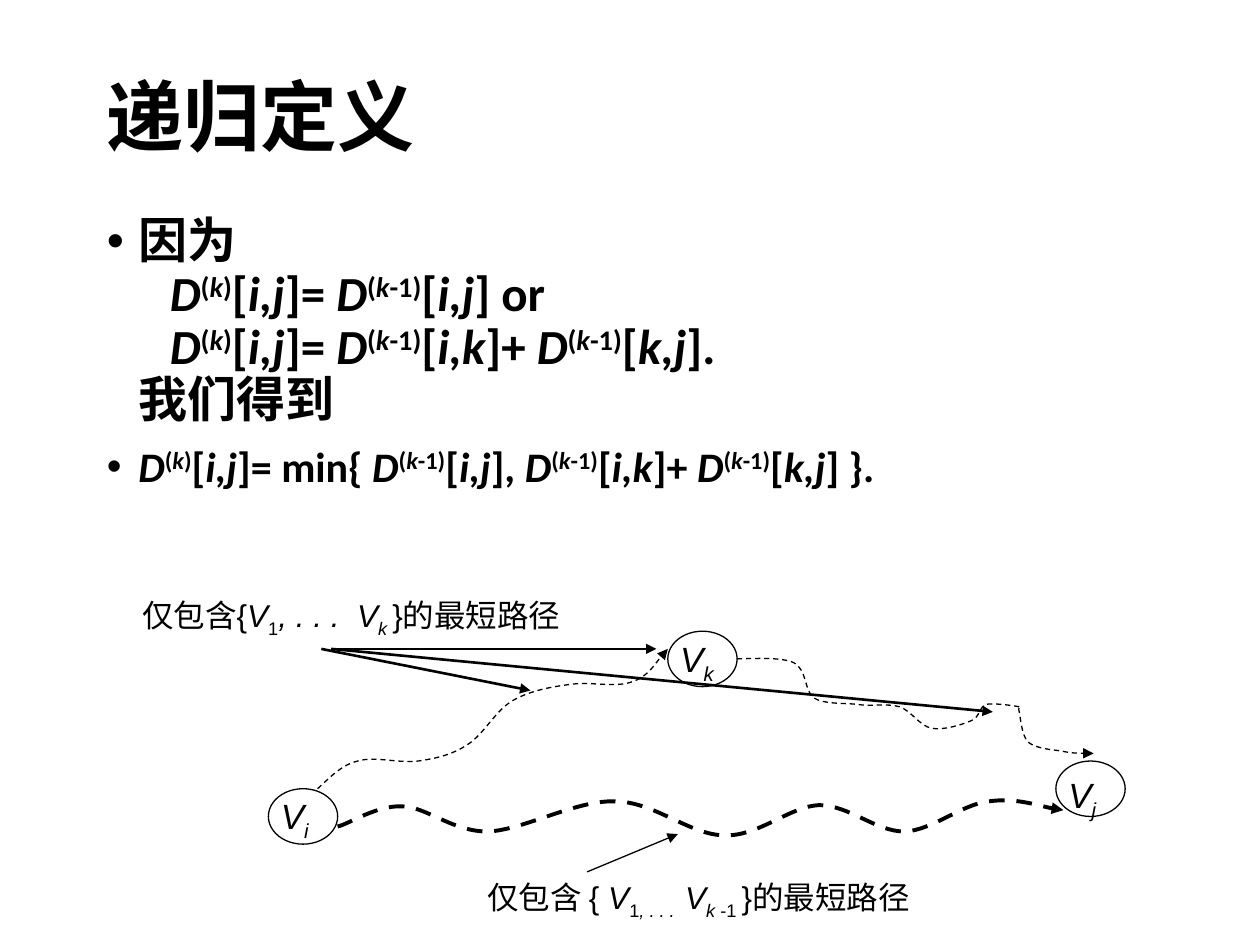
from dataclasses import dataclass

from lxml.etree import SubElement
from pptx import Presentation
from pptx.dml.color import RGBColor
from pptx.enum.dml import MSO_LINE
from pptx.enum.shapes import MSO_CONNECTOR, MSO_SHAPE
from pptx.enum.text import MSO_ANCHOR
from pptx.oxml.ns import qn
from pptx.util import Inches, Pt


@dataclass(frozen=True)
class Theme:
    """Colours, fonts and type sizes of the slide."""
    ink: RGBColor = RGBColor(0, 0, 0)
    heading_font: str = "Calibri"
    label_font: str = "Arial"
    title: int = 44
    body: int = 28
    formula: int = 24
    node: int = 20
    label: int = 18


THEME = Theme()
BASELINES = {"^": "30000", "_": "-25000"}

NODES = [
    ("i", (2.13, 6.26), (2.13, 6.26, 0.55, 0.43)),
    ("k", (5.3, 5.01), (5.3, 5.01, 0.63, 0.43)),
    ("j", (8.38, 6.04), (8.38, 6.09, 0.49, 0.43)),
]
DIRECT_ROUTE = [
    (2.68, 6.56), (2.77, 6.54), (2.99, 6.39), (3.19, 6.4),
    (3.38, 6.4), (3.59, 6.6), (3.87, 6.6), (4.15, 6.59), (4.57, 6.35), (4.88, 6.36),
    (5.19, 6.36), (5.48, 6.63), (5.75, 6.63), (6.02, 6.64), (6.27, 6.4), (6.5, 6.39),
    (6.74, 6.39), (6.95, 6.6), (7.18, 6.6), (7.4, 6.59), (7.64, 6.38), (7.85, 6.36),
    (8.06, 6.33), (8.32, 6.42), (8.44, 6.43),
]
ROUTE_TO_K = [
    (2.52, 6.26), (2.62, 6.17), (2.71, 6.07), (2.84, 6.04),
    (2.97, 6), (3.17, 6.06), (3.32, 6.04), (3.46, 6.02), (3.59, 5.99), (3.71, 5.91),
    (3.84, 5.83), (3.93, 5.64), (4.07, 5.56), (4.21, 5.48), (4.38, 5.45), (4.54, 5.43),
    (4.7, 5.41), (4.89, 5.46), (5.02, 5.41), (5.14, 5.37), (5.24, 5.21), (5.3, 5.15),
]
ROUTE_FROM_K = [
    (5.85, 5.23), (5.92, 5.23), (6.2, 5.21), (6.3, 5.26),
    (6.41, 5.32), (6.38, 5.48), (6.46, 5.54), (6.54, 5.59), (6.69, 5.58), (6.8, 5.59),
    (6.91, 5.61), (7.04, 5.58), (7.14, 5.61), (7.23, 5.64), (7.3, 5.76), (7.39, 5.78),
    (7.49, 5.8), (7.64, 5.75), (7.71, 5.72), (7.78, 5.69), (7.77, 5.61), (7.83, 5.59),
    (7.89, 5.58), (8.04, 5.6), (8.09, 5.61), (8.13, 5.62), (8.07, 5.6), (8.09, 5.65),
    (8.1, 5.7), (8.11, 5.84), (8.16, 5.89), (8.22, 5.94), (8.34, 5.95), (8.42, 5.96),
    (8.51, 5.98), (8.63, 5.98), (8.68, 5.98),
]
ARROWS = [
    ((4.66, 6.92), (5.38, 6.62), 0.75),
    ((2.55, 5.15), (4.21, 5.48), 1.5),
    ((2.63, 5.15), (7.88, 5.65), 1.5),
    ((2.63, 5.15), (5.21, 5.15), 1),
]


def matrix(step, indices):
    """Return the styled runs of one entry of the distance matrix."""
    return [("D", "i"), ("(", "^"), ("k", "i^"), (step + ")", "^"),
            ("[", ""), (indices, "i")]


def add_text_box(slide, place):
    """Add a wrapping text box and return it."""
    box = slide.shapes.add_textbox(*map(Inches, place))
    box.text_frame.word_wrap = True
    return box


def add_runs(para, runs, font, size, bold=False):
    """Write styled runs into a paragraph, breaking lines at newlines."""
    for text, style in runs:
        for number, piece in enumerate(text.split("\n")):
            if number:
                para.add_line_break()
            if not piece:
                continue
            span = para.add_run()
            span.text = piece
            span.font.name = font
            span.font.size = Pt(size)
            span.font.bold = bold
            span.font.italic = "i" in style
            span.font.color.rgb = THEME.ink
            for mark, offset in BASELINES.items():
                if mark in style:
                    span._r.get_or_add_rPr().set("baseline", offset)


def add_bullet(para):
    """Give a paragraph a hanging round bullet."""
    properties = para._p.get_or_add_pPr()
    properties.set("marL", str(Inches(0.25)))
    properties.set("indent", str(-Inches(0.25)))
    SubElement(properties, qn("a:buFont")).set("typeface", THEME.label_font)
    SubElement(properties, qn("a:buChar")).set("char", "•")


def add_title(slide, text):
    """Add the slide heading."""
    frame = add_text_box(slide, (0.75, 0.33, 8.5, 1.25)).text_frame
    frame.vertical_anchor = MSO_ANCHOR.MIDDLE
    frame.paragraphs[0].line_spacing = 0.9
    add_runs(frame.paragraphs[0], [(text, "")], THEME.heading_font, THEME.title, True)


def add_body(slide, items):
    """Add the bulleted formulas, each given as runs and a size."""
    frame = add_text_box(slide, (0.75, 1.67, 8.5, 2.42)).text_frame
    for number, (runs, size) in enumerate(items):
        para = frame.add_paragraph() if number else frame.paragraphs[0]
        add_bullet(para)
        para.line_spacing = 0.9
        if number:
            para.space_before = Pt(10)
        add_runs(para, runs, THEME.heading_font, size, True)


def add_label(slide, place, runs, size):
    """Add one line of diagram text."""
    para = add_text_box(slide, place).text_frame.paragraphs[0]
    add_runs(para, runs, THEME.label_font, size)


def style_line(line, width):
    """Set the colour and width of a line."""
    line.color.rgb = THEME.ink
    line.width = Pt(width)


def add_arrowhead(shape):
    """Put a triangle at the end of a line."""
    line = shape.line._get_or_add_ln()
    SubElement(line, qn("a:tailEnd")).set("type", "triangle")


def add_node(slide, index, corner, label_place):
    """Add a vertex ellipse with its subscripted name."""
    ellipse = slide.shapes.add_shape(
        MSO_SHAPE.OVAL, *map(Inches, (*corner, 0.55, 0.44)))
    ellipse.shadow.inherit = False
    ellipse.fill.background()
    style_line(ellipse.line, 0.75)
    add_label(slide, label_place, [("V", "i"), (index, "i_")], THEME.node)


def add_route(slide, points, width):
    """Add a dashed Bézier curve that ends in an arrowhead."""
    start, *others = [(Inches(x), Inches(y)) for x, y in points]
    builder = slide.shapes.build_freeform(*start)
    builder.add_line_segments(others, close=False)
    route = builder.convert_to_shape()
    outline = next(route._element.iter(qn("a:path")))
    segments = outline.findall(qn("a:lnTo"))
    for first in range(0, len(segments), 3):
        curve = SubElement(outline, qn("a:cubicBezTo"))
        for segment in segments[first:first + 3]:
            curve.append(segment[0])
            outline.remove(segment)
    route.shadow.inherit = False
    route.fill.background()
    style_line(route.line, width)
    route.line.dash_style = MSO_LINE.DASH
    add_arrowhead(route)


def add_arrow(slide, start, end, width):
    """Add a straight arrow."""
    arrow = slide.shapes.add_connector(
        MSO_CONNECTOR.STRAIGHT, *map(Inches, (*start, *end)))
    style_line(arrow.line, width)
    add_arrowhead(arrow)
    SubElement(arrow._element.spPr, qn("a:effectLst"))


def main():
    """Build the slide and save the deck."""
    deck = Presentation()
    deck.slide_width, deck.slide_height = Inches(10), Inches(7.5)
    slide = deck.slides.add_slide(deck.slide_layouts[6])
    add_title(slide, "递归定义")
    entry, previous = matrix("", "i,j"), matrix("-1", "i,j")
    to_k = matrix("-1", "i,k")
    from_k = matrix("-1", "k,j")
    reasons = [("因为\n\t", ""), *entry, ("]= ", ""), *previous, ("] or\n\t", ""),
               *entry, ("]= ", ""), *to_k, ("]+ ", ""), *from_k, ("].\n我们得到", "")]
    result = [*entry, ("]= min{ ", ""), *previous, ("], ", ""), *to_k,
              ("]+ ", ""), *from_k, ("] }.", "")]
    add_body(slide, [(reasons, THEME.body), (result, THEME.formula)])
    for node in NODES:
        add_node(slide, *node)
    add_route(slide, DIRECT_ROUTE, 2.25)
    add_route(slide, ROUTE_TO_K, 0.75)
    add_route(slide, ROUTE_FROM_K, 0.75)
    for arrow in ARROWS:
        add_arrow(slide, *arrow)
    add_label(slide, (3.77, 6.92, 4.73, 0.4),
              [("仅包含 { ", ""), ("V", "i"), ("1", "_"), (", . . .  ", "i_"), ("V", "i"),
               ("k", "i_"), (" -1 ", "_"), ("}的最短路径", "")], THEME.label)
    add_label(slide, (1.03, 4.68, 4.31, 0.4),
              [("仅包含{", ""), ("V", "i"), ("1", "_"), (", . . .  V", "i"),
               ("k ", "i_"), ("}的最短路径", "")], THEME.label)
    deck.save("out.pptx")


if __name__ == "__main__":
    main()
